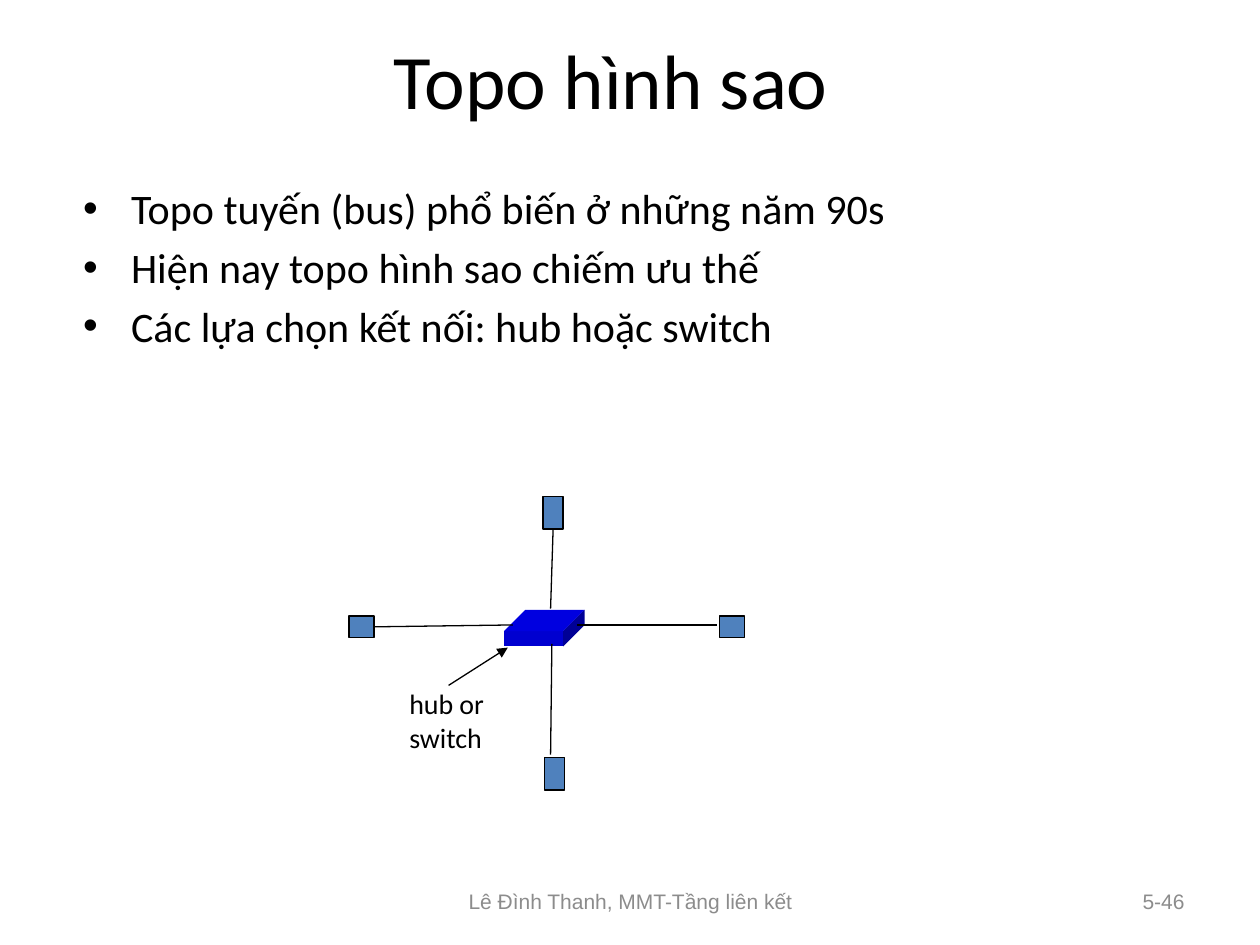
"""Build the star topology slide with a hub, four hosts and a labelled arrow."""
import pptx
import pptx.dml.color
import pptx.enum.shapes
import pptx.enum.text
import pptx.oxml.ns
import pptx.util
from lxml import etree

Inches = pptx.util.Inches
Pt = pptx.util.Pt
RGB = pptx.dml.color.RGBColor.from_string
qn = pptx.oxml.ns.qn
ALIGN = pptx.enum.text.PP_ALIGN
ANCHOR = pptx.enum.text.MSO_ANCHOR
COLORS = {"text": "000000", "footer": "8C8C8C", "host": "4F81BD",
          "hub_front": "0000D0", "hub_top": "0000E0", "hub_side": "000096"}


def write(sp, lines, size, font, color, align, anchor):
    tf = sp.text_frame
    tf.text = "\n".join(lines)
    tf.vertical_anchor = anchor
    for p in tf.paragraphs:
        p.alignment = align
        for r in p.runs:
            r.font.size = Pt(size)
            r.font.name = font
            r.font.color.rgb = RGB(COLORS[color])
    return tf


def add_line(x1, y1, x2, y2):
    line = slide.shapes.add_connector(
        pptx.enum.shapes.MSO_CONNECTOR.STRAIGHT,
        Inches(x1), Inches(y1), Inches(x2), Inches(y2))
    line.line.color.rgb = RGB(COLORS["text"])
    line.line.width = Pt(0.75)
    etree.SubElement(line._element.spPr, qn("a:effectLst"))
    return line


prs = pptx.Presentation()
prs.slide_width, prs.slide_height = Inches(10), Inches(7.5)
slide = prs.slides.add_slide(prs.slide_layouts[1])

title, body = slide.placeholders
for sp, box in ((title, (0.6, 0, 8.5, 1.25)), (body, (0.56, 1.4, 8.5, 1.9))):
    sp.left, sp.top, sp.width, sp.height = map(Inches, box)
write(title, ["Topo hình sao"], 44, "Calibri", "text", ALIGN.CENTER, ANCHOR.MIDDLE)

bullets = ["Topo tuyến (bus) phổ biến ở những năm 90s",
           "Hiện nay topo hình sao chiếm ưu thế",
           "Các lựa chọn kết nối: hub hoặc switch"]
tf = write(body, bullets, 24, "Calibri", "text", ALIGN.LEFT, ANCHOR.TOP)
tf.auto_size = pptx.enum.text.MSO_AUTO_SIZE.NONE
for i, p in enumerate(tf.paragraphs):
    pPr = p._p.get_or_add_pPr()
    pPr.set("marL", str(Inches(0.38)))
    pPr.set("indent", str(-Inches(0.38)))
    etree.SubElement(pPr, qn("a:buChar"), char="•")
    p.space_before = Pt(4.8 if i else 0)

for text, left, width, align in (
        ("Lê Đình Thanh, MMT-Tầng liên kết", 3.42, 3.17, ALIGN.CENTER),
        ("5-46", 7.17, 2.33, ALIGN.RIGHT)):
    sp = slide.shapes.add_textbox(Inches(left), Inches(6.95), Inches(width), Inches(0.4))
    tf = write(sp, [text], 12, "Arial", "footer", align, ANCHOR.MIDDLE)
    tf.word_wrap = True

hub_faces = {
    "hub_front": [(4, 5.01), (4.47, 5.01), (4.47, 5.13), (4, 5.13)],
    "hub_top": [(4, 5.01), (4.17, 4.84), (4.64, 4.84), (4.47, 5.01)],
    "hub_side": [(4.47, 5.01), (4.64, 4.84), (4.64, 4.96), (4.47, 5.13)],
}
for color, points in hub_faces.items():
    corners = [(Inches(x), Inches(y)) for x, y in points]
    builder = slide.shapes.build_freeform(*corners[0])
    builder.add_line_segments(corners[1:], close=True)
    sp = builder.convert_to_shape()
    sp.shadow.inherit = False
    sp.fill.solid()
    sp.fill.fore_color.rgb = RGB(COLORS[color])
    sp.line.fill.background()

hosts = {"left": (2.77, 4.89, 0.2, 0.17), "right": (5.71, 4.89, 0.2, 0.17),
         "top": (4.31, 3.94, 0.16, 0.26), "bottom": (4.32, 6.01, 0.16, 0.26)}
host_shapes = {}
for name, box in hosts.items():
    sp = slide.shapes.add_shape(pptx.enum.shapes.MSO_SHAPE.RECTANGLE, *map(Inches, box))
    sp.shadow.inherit = False
    sp.fill.solid()
    sp.fill.fore_color.rgb = RGB(COLORS["host"])
    sp.line.color.rgb = RGB(COLORS["text"])
    sp.line.width = Pt(0.75)
    host_shapes[name] = sp

add_line(2.97, 4.96, 4.07, 4.96).begin_connect(host_shapes["left"], 3)
add_line(4.37, 4.21, 4.37, 4.83).begin_connect(host_shapes["top"], 2)
add_line(5.69, 4.96, 4.58, 4.96)
add_line(4.37, 5.99, 4.38, 5.11)

label = slide.shapes.add_textbox(Inches(3.15), Inches(5.4), Inches(0.87), Inches(0.64))
tf = write(label, ["hub or", "switch"], 16, "Calibri", "text", ALIGN.LEFT, ANCHOR.TOP)
tf.word_wrap = False
tf.auto_size = pptx.enum.text.MSO_AUTO_SIZE.SHAPE_TO_FIT_TEXT

arrow = add_line(3.56, 5.44, 4.03, 5.14)
etree.SubElement(arrow.line._get_or_add_ln(), qn("a:tailEnd"), type="triangle")

prs.save("out.pptx")
